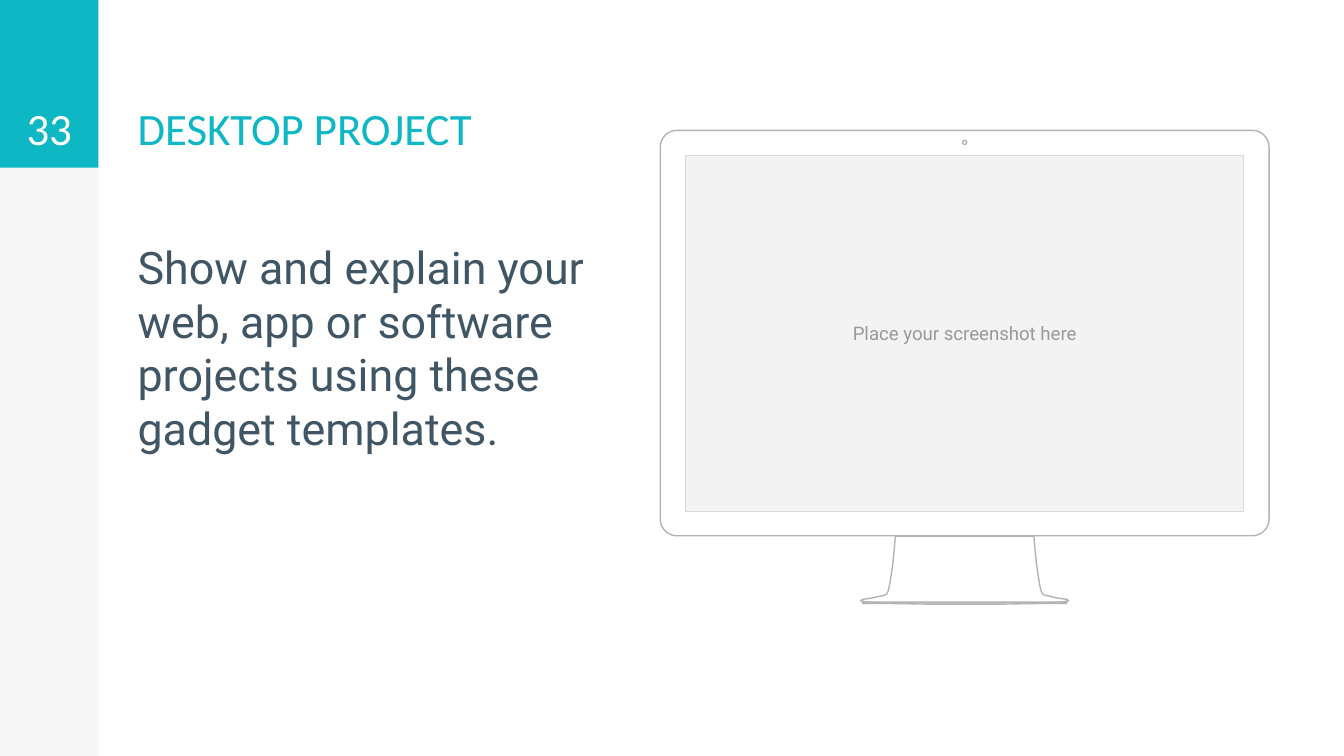
import math
from dataclasses import dataclass
from typing import Optional

from pptx import Presentation, util as u
from pptx.dml.color import RGBColor
from pptx.enum import shapes, text

COLUMNS, ROWS = 100, 56.25
CELL = u.Inches(10) // COLUMNS
COLORS = {
    "accent": "0DB7C4", "sidebar": "F7F7F7", "white": "FFFFFF",
    "outline": "B3B3B3", "screen": "F3F3F3", "screen_edge": "D9D9D9",
    "hint": "999999", "body": "415665",
}
Points = list[tuple[float, float]]


@dataclass(frozen=True)
class Area:
    column: float
    row: float
    columns: float
    rows: float

    def emu(self) -> list[int]:
        return [cells(n) for n in (self.column, self.row, self.columns, self.rows)]


@dataclass(frozen=True)
class Panel:
    area: Area
    fill: str
    edge: Optional[str] = None


@dataclass(frozen=True)
class Label:
    area: Area
    words: str
    font: str
    size: float
    color: str
    anchor: text.MSO_ANCHOR = text.MSO_ANCHOR.BOTTOM
    align: text.PP_ALIGN = text.PP_ALIGN.LEFT
    space_before: float = 0


def cells(count: float) -> int:
    return round(count * CELL)


def color(name: str) -> RGBColor:
    return RGBColor.from_string(COLORS[name])


def paint(shape, fill: str, edge: Optional[str]) -> None:
    shape.shadow.inherit = False
    shape.fill.solid()
    shape.fill.fore_color.rgb = color(fill)
    if edge:
        shape.line.color.rgb = color(edge)
        shape.line.width = u.Pt(0.75)
    else:
        shape.line.fill.background()


def draw_panel(slide, panel: Panel):
    shape = slide.shapes.add_shape(shapes.MSO_SHAPE.RECTANGLE, *panel.area.emu())
    paint(shape, panel.fill, panel.edge)
    return shape


def write(shape, label: Label) -> None:
    frame = shape.text_frame
    frame.word_wrap = True
    frame.vertical_anchor = label.anchor
    frame.margin_left = frame.margin_right = cells(1)
    frame.margin_top = frame.margin_bottom = cells(1)
    frame.text = label.words
    paragraph = frame.paragraphs[0]
    paragraph.alignment = label.align
    paragraph.space_before = u.Pt(label.space_before)
    font = paragraph.runs[0].font
    font.name, font.size = label.font, u.Pt(label.size)
    font.color.rgb = color(label.color)


def rounded(area: Area, radius: float, steps: int = 8) -> Points:
    right, bottom = area.column + area.columns, area.row + area.rows
    centers = [
        (right - radius, bottom - radius), (area.column + radius, bottom - radius),
        (area.column + radius, area.row + radius), (right - radius, area.row + radius),
    ]
    points = []
    for quarter, (x, y) in enumerate(centers):
        for step in range(steps + 1):
            angle = (quarter + step / steps) * math.pi / 2
            points.append((x + radius * math.cos(angle), y + radius * math.sin(angle)))
    return points


def mirrored(profile: Points, axis: float) -> Points:
    left = [(axis - reach, row) for reach, row in profile]
    right = [(axis + reach, row) for reach, row in reversed(profile)]
    return left + right


def draw_outline(slide, contours: list[Points], fill: str, edge: str) -> None:
    traced = [[(cells(x), cells(y)) for x, y in contour] for contour in contours]
    builder = slide.shapes.build_freeform(*traced[0][0])
    for index, contour in enumerate(traced):
        if index:
            builder.move_to(*contour[0])
        builder.add_line_segments(contour[1:], close=True)
    paint(builder.convert_to_shape(), fill, edge)


SIDEBAR = 7.32
HEADER = 12.47
AXIS = 71.78
CASE = Area(49.13, 9.7, 45.3, 30.17)
SCREEN = Area(51, 11.55, 41.55, 26.5)
CAMERA = Area(AXIS - 0.15, 10.45, 0.3, 0.3)
NECK = [
    (5.15, 39.9), (5.25, 41), (5.35, 42), (5.5, 43), (5.6, 43.6), (5.7, 44),
    (5.8, 44.2), (6, 44.3), (6.9, 44.5), (7.6, 44.6), (7.75, 44.7),
    (7.3, 44.8), (6.3, 44.85), (4.9, 44.85),
]
BASE = [(2.9, 44.8), (6.2, 44.8), (7.6, 44.8), (7.6, 44.9), (6, 44.9), (2.9, 44.95)]

PANELS = [
    Panel(Area(0, 0, SIDEBAR, ROWS), "sidebar"),
    Panel(Area(0, 0, SIDEBAR, HEADER), "accent"),
]
HINT = Label(SCREEN, "Place your screenshot here", "Roboto", 10, "hint",
             text.MSO_ANCHOR.MIDDLE, text.PP_ALIGN.CENTER)
LABELS = [
    Label(Area(0, 0, SIDEBAR, HEADER), "33", "Calibri", 24, "white",
          align=text.PP_ALIGN.CENTER),
    Label(Area(9.25, 0.05, 38.9, HEADER), "DESKTOP PROJECT", "Calibri", 24, "accent"),
    Label(Area(9.25, 16.83, 38.9, 37.1),
          "Show and explain your web, app or software projects "
          "using these gadget templates.",
          "Roboto", 24, "body", text.MSO_ANCHOR.TOP, space_before=6),
]


def main() -> None:
    deck = Presentation()
    deck.slide_width, deck.slide_height = cells(COLUMNS), cells(ROWS)
    slide = deck.slides.add_slide(deck.slide_layouts[6])
    for panel in PANELS:
        draw_panel(slide, panel)
    monitor = [rounded(CASE, 1.25), rounded(CAMERA, 0.15),
               mirrored(NECK, AXIS), mirrored(BASE, AXIS)]
    draw_outline(slide, monitor, "white", "outline")
    write(draw_panel(slide, Panel(SCREEN, "screen", "screen_edge")), HINT)
    for label in LABELS:
        write(slide.shapes.add_textbox(*label.area.emu()), label)
    deck.save("out.pptx")


if __name__ == "__main__":
    main()
